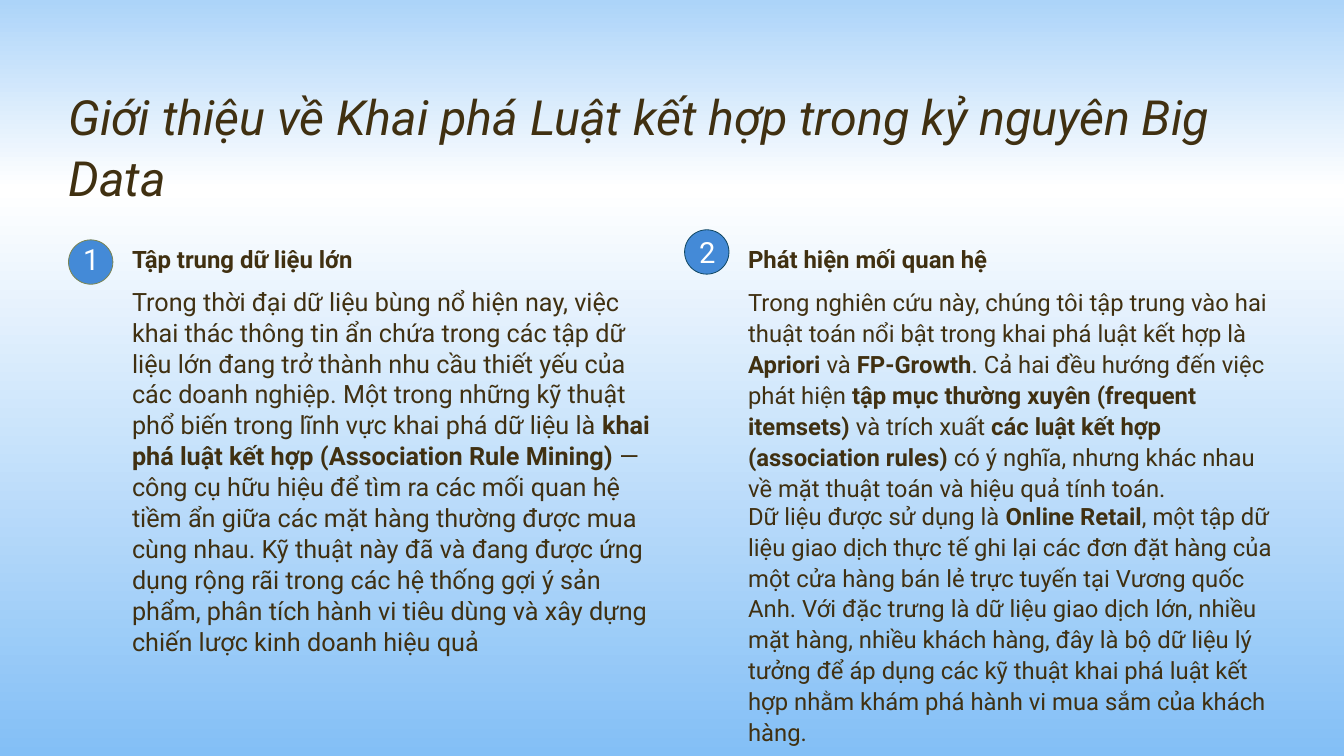
from copy import deepcopy

from pptx import Presentation
from pptx.dml.color import RGBColor
from pptx.enum.shapes import MSO_SHAPE
from pptx.enum.text import PP_ALIGN
from pptx.oxml.ns import qn
from pptx.util import Inches, Pt

ROUNDED = MSO_SHAPE.ROUNDED_RECTANGLE
LEFT, CENTER = PP_ALIGN.LEFT, PP_ALIGN.CENTER
FONT = "Roboto"
BROWN, BLUE, WHITE = "403011", "448AD7", "FFFFFF"


def color(hex_string):
    return RGBColor.from_string(hex_string)


def add_text(box, runs, size, spacing, ink=BROWN, italic=False, wrap=True, align=LEFT):
    """Write (text, bold) runs as one paragraph in a box of left, top, width, height."""
    frame = slide.shapes.add_textbox(*[Inches(length) for length in box]).text_frame
    frame.margin_left = frame.margin_right = frame.margin_top = frame.margin_bottom = 0
    frame.word_wrap = wrap
    paragraph = frame.paragraphs[0]
    paragraph.alignment = align
    paragraph.line_spacing = Pt(spacing)
    for text, bold in runs:
        run = paragraph.add_run()
        run.text = text
        run.font.name = FONT
        run.font.size = Pt(size)
        run.font.bold = bold
        run.font.italic = italic
        run.font.color.rgb = color(ink)


prs = Presentation()
prs.slide_width, prs.slide_height = Inches(13.33), Inches(7.5)
slide = prs.slides.add_slide(prs.slide_layouts[6])

# Background: light blue through white to blue, top to bottom
sky = slide.background.fill
sky.gradient()
sky.gradient_angle = 270
stop_list = next(slide.element.iter(qn("a:gsLst")))
stop_list.insert(1, deepcopy(stop_list[0]))
sky_stops = [(0, "ACD4F9"), (0.25, WHITE), (1, "83BFF6")]
for stop, (position, tint) in zip(sky.gradient_stops, sky_stops):
    stop.position = position
    stop.color.rgb = color(tint)

# Title
add_text((0.68, 0.84, 11.98, 1.21),
         [("Giới thiệu về Khai phá Luật kết hợp trong kỷ nguyên Big Data", False)],
         34.6, 43.3, italic=True)

# Two numbered topics: left, badge top, number top, badge outline, heading,
# body size, then body texts as (top, height, runs)
topics = [
    (0.68, 2.38, 2.45, "7B8554", "Tập trung dữ liệu lớn", 18, [
        (2.83, 4.23, [
            ("Trong thời đại dữ liệu bùng nổ hiện nay, việc khai thác thông tin ẩn chứa "
             "trong các tập dữ liệu lớn đang trở thành nhu cầu thiết yếu của các doanh "
             "nghiệp. Một trong những kỹ thuật phổ biến trong lĩnh vực khai phá dữ liệu là ",
             False),
            ("khai phá luật kết hợp (Association Rule Mining)", True),
            (" — công cụ hữu hiệu để tìm ra các mối quan hệ tiềm ẩn giữa các mặt hàng "
             "thường được mua cùng nhau. Kỹ thuật này đã và đang được ứng dụng rộng rãi "
             "trong các hệ thống gợi ý sản phẩm, phân tích hành vi tiêu dùng và xây dựng "
             "chiến lược kinh doanh hiệu quả", False),
        ]),
    ]),
    (6.79, 2.28, 2.38, "114864", "Phát hiện mối quan hệ", 17, [
        (2.83, 1.86, [
            ("Trong nghiên cứu này, chúng tôi tập trung vào hai thuật toán nổi bật trong "
             "khai phá luật kết hợp là ", False),
            ("Apriori", True),
            (" và ", False),
            ("FP-Growth", True),
            (". Cả hai đều hướng đến việc phát hiện ", False),
            ("tập mục thường xuyên (frequent itemsets)", True),
            (" và trích xuất ", False),
            ("các luật kết hợp (association rules)", True),
            (" có ý nghĩa, nhưng khác nhau về mặt thuật toán và hiệu quả tính toán.", False),
        ]),
        (4.95, 1.86, [
            ("Dữ liệu được sử dụng là ", False),
            ("Online Retail", True),
            (", một tập dữ liệu giao dịch thực tế ghi lại các đơn đặt hàng của một cửa "
             "hàng bán lẻ trực tuyến tại Vương quốc Anh. Với đặc trưng là dữ liệu giao "
             "dịch lớn, nhiều mặt hàng, nhiều khách hàng, đây là bộ dữ liệu lý tưởng để "
             "áp dụng các kỹ thuật khai phá luật kết hợp nhằm khám phá hành vi mua sắm "
             "của khách hàng.", False),
        ]),
    ]),
]

for number, topic in enumerate(topics, start=1):
    left, badge_top, number_top, outline, heading, body_size, bodies = topic

    # Numbered badge
    badge = slide.shapes.add_shape(ROUNDED, Inches(left), Inches(badge_top),
                                   Inches(0.44), Inches(0.44))
    badge.adjustments[0] = 0.5
    badge.shadow.inherit = False
    badge.fill.solid()
    badge.fill.fore_color.rgb = color(BLUE)
    badge.line.color.rgb = color(outline)
    badge.line.width = Pt(0.6)
    add_text((left + 0.08, number_top, 0.29, 0.36), [(str(number), False)],
             20.8, 20.8, ink=WHITE, wrap=False, align=CENTER)

    # Heading and body
    text_left = left + 0.63
    add_text((text_left, 2.41, 2.5, 0.3), [(heading, True)], 17.1, 21.7, wrap=False)
    for top, height, runs in bodies:
        add_text((text_left, top, 5.24, height), runs, body_size, 22.1)

prs.save("out.pptx")
